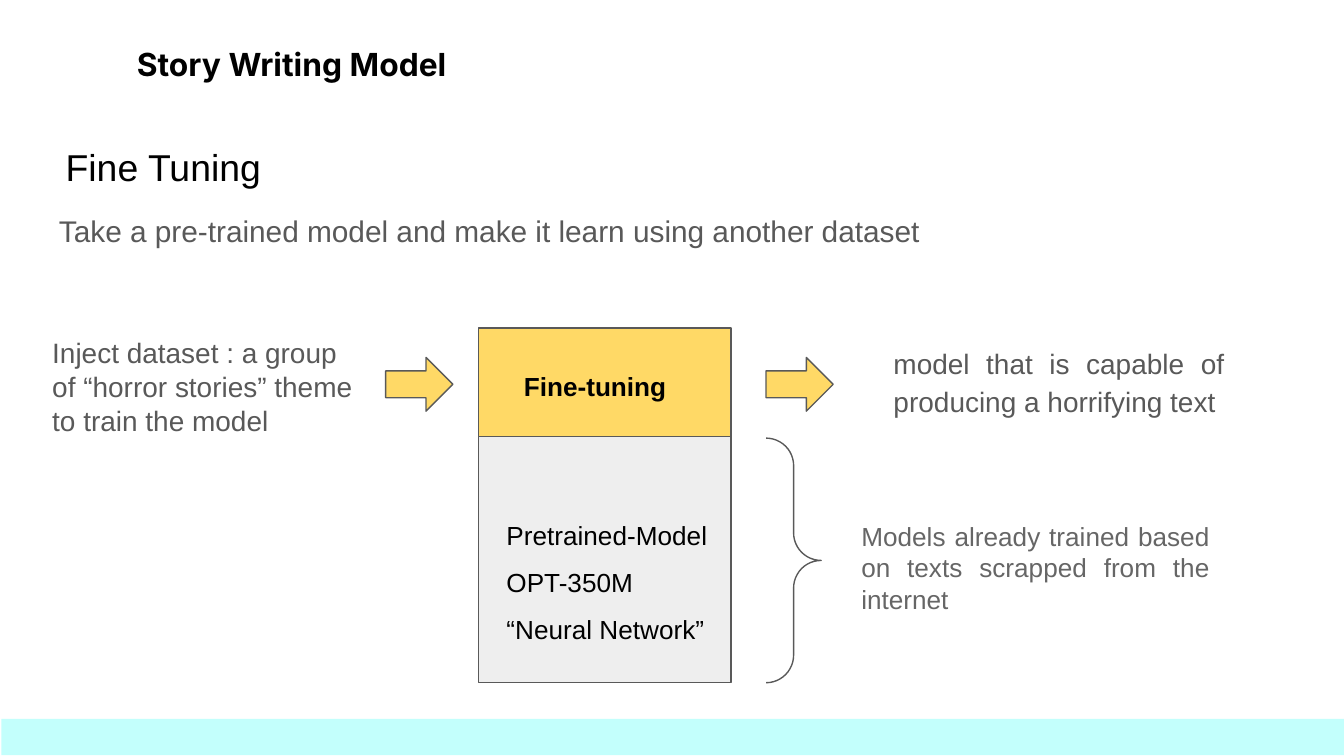
from pptx import Presentation
from pptx.dml.color import RGBColor
from pptx.enum.shapes import MSO_SHAPE
from pptx.enum.text import MSO_ANCHOR, PP_ALIGN
from pptx.util import Inches, Pt

COLORS = {
    "black": "000000",
    "gray": "595959",
    "light_text": "666666",
    "pale": "EEEEEE",
    "yellow": "FFD966",
    "cyan": "C3FFFC",
}

presentation = Presentation()
presentation.slide_width = Inches(10)
presentation.slide_height = Inches(10) * 9 // 16
slide = presentation.slides.add_slide(presentation.slide_layouts[6])


def add_shape(kind, left, top, width, height, fill=None, line="gray"):
    shape = slide.shapes.add_shape(
        kind, Inches(left), Inches(top), Inches(width), Inches(height))
    shape.shadow.inherit = False
    if fill:
        shape.fill.solid()
        shape.fill.fore_color.rgb = RGBColor.from_string(COLORS[fill])
    else:
        shape.fill.background()
    if line:
        shape.line.color.rgb = RGBColor.from_string(COLORS[line])
        shape.line.width = Pt(0.75)
    else:
        shape.line.fill.background()
    return shape


def add_text(text, left, top, width, height, size, color="gray", font="Arial",
             bold=False, align=PP_ALIGN.LEFT, spacing=1.0):
    box = slide.shapes.add_textbox(
        Inches(left), Inches(top), Inches(width), Inches(height))
    text_frame = box.text_frame
    text_frame.word_wrap = True
    text_frame.vertical_anchor = MSO_ANCHOR.TOP
    text_frame.margin_left = text_frame.margin_right = Inches(0.1)
    text_frame.margin_top = text_frame.margin_bottom = Inches(0.1)
    text_frame.text = text
    for paragraph in text_frame.paragraphs:
        paragraph.alignment = align
        paragraph.line_spacing = spacing
        for run in paragraph.runs:
            run.font.name = font
            run.font.size = Pt(size)
            run.font.bold = bold
            run.font.color.rgb = RGBColor.from_string(COLORS[color])


# Headings
add_text("Fine Tuning", 0.39, 0.97, 9.32, 0.63, 20, "black")
add_text("Take a pre-trained model and make it learn using another dataset",
         0.34, 1.44, 7.39, 0.47, 16, spacing=1.15)

# Model stack
add_shape(MSO_SHAPE.RECTANGLE, 3.56, 3.22, 1.88, 1.86, "pale")
add_text("Pretrained-Model\nOPT-350M\n“Neural Network”",
         3.67, 3.65, 1.83, 1.14, 14, "black", spacing=1.5)
add_shape(MSO_SHAPE.RECTANGLE, 3.56, 2.44, 1.88, 0.81, "yellow")
add_text("Fine-tuning", 3.8, 2.66, 1.56, 0.44, 14, "black", bold=True)

# Input and output
for arrow_left in (2.87, 5.7):
    add_shape(MSO_SHAPE.RIGHT_ARROW, arrow_left, 2.66, 0.5, 0.4, "yellow")
add_text("Inject dataset : a group of “horror stories” theme to train the model",
         0.29, 2.4, 2.48, 0.96, 15)
add_text("model that is capable of producing a horrifying text",
         6.55, 2.44, 2.66, 0.74, 15, align=PP_ALIGN.JUSTIFY, spacing=1.15)

# Note on the pretrained part
brace = add_shape(MSO_SHAPE.RIGHT_BRACE, 5.7, 3.26, 0.41, 1.82)
brace.adjustments[0] = 0.5
brace.adjustments[1] = 0.5
add_text("Models already trained based on texts scrapped from the internet",
         6.31, 3.77, 2.79, 0.91, 14, "light_text", align=PP_ALIGN.JUSTIFY)

# Section name and footer band
add_text("Story Writing Model", 0.92, 0.23, 2.66, 0.49, 17, "black",
         font="Inter", bold=True)
add_shape(MSO_SHAPE.RECTANGLE, 0.01, 5.35, 10, 0.27, "cyan", line=None)

presentation.save("out.pptx")
